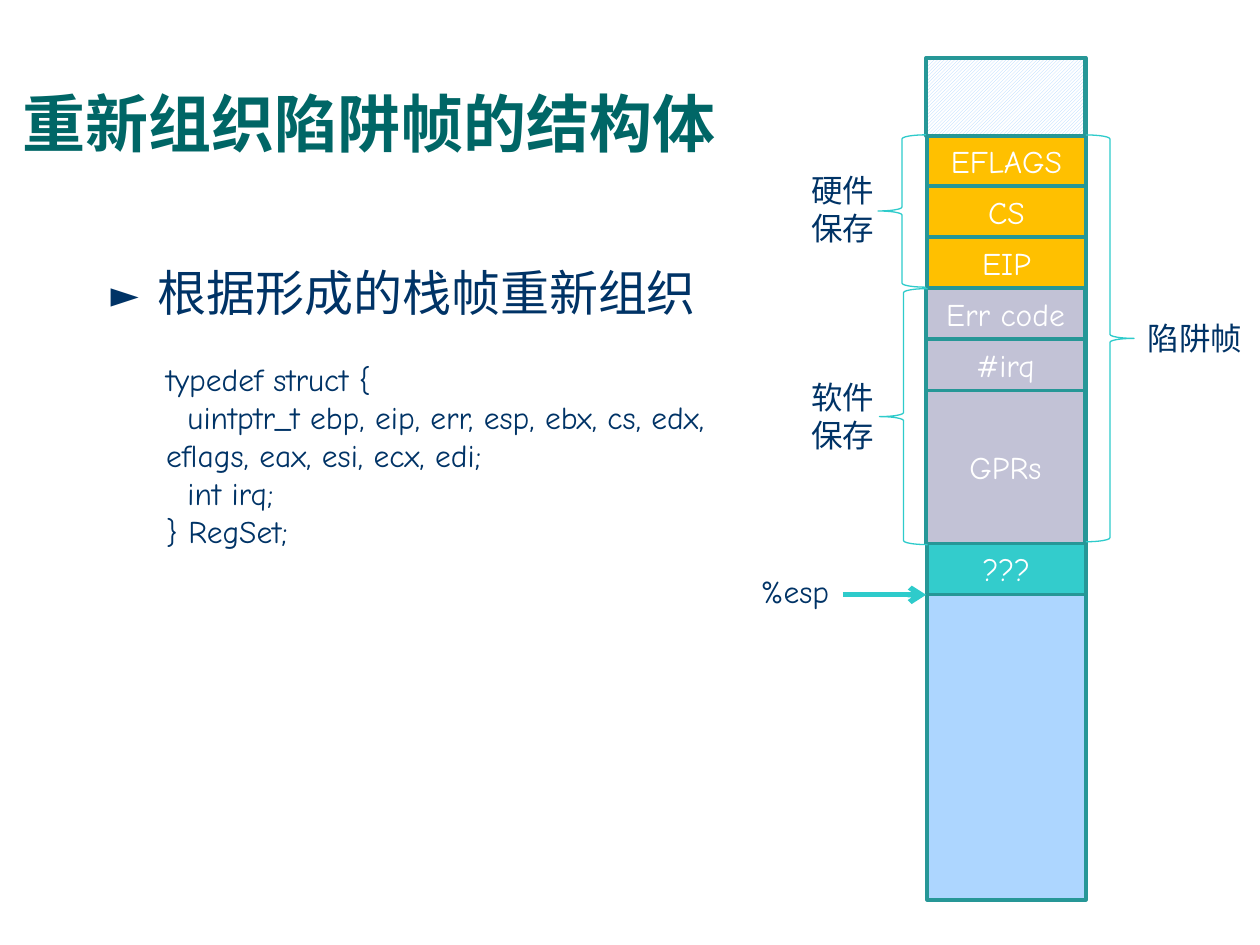
import pptx
import pptx.util
import pptx.dml.color
import pptx.enum.dml
import pptx.enum.shapes
import pptx.enum.text
import pptx.oxml
import pptx.oxml.ns
import lxml.etree

Cm, Pt = pptx.util.Cm, pptx.util.Pt
Shape = pptx.enum.shapes.MSO_SHAPE
Align = pptx.enum.text.PP_ALIGN
Anchor = pptx.enum.text.MSO_ANCHOR
qn = pptx.oxml.ns.qn

NAVY, TEAL, BORDER, CYAN, SKY = "003366", "006666", "269797", "2ECBCB", "ADD6FF"
CJK, HAND = "Noto Sans CJK SC", "Comic Neue"


def color(value):
    return pptx.dml.color.RGBColor.from_string(value)


def write(box, text, size=18, font=HAND, ink=NAVY, bold=False,
          align=Align.LEFT, anchor=Anchor.TOP):
    frame = box.text_frame
    frame.word_wrap = True
    frame.vertical_anchor = anchor
    frame.text = text
    for para in frame.paragraphs:
        para.alignment = align
        for span in para.runs:
            span.font.size = Pt(size)
            span.font.name = font
            span.font.bold = bold
            span.font.color.rgb = color(ink)
            east_asian = lxml.etree.SubElement(span.font._element, qn("a:ea"))
            east_asian.set("typeface", font)
    return frame.paragraphs


deck = pptx.Presentation()
deck.slide_width, deck.slide_height = Cm(25.4), Cm(19.05)
page = deck.slides.add_slide(deck.slide_layouts[5])
shapes = page.shapes

# Title
title = shapes.title
title.left, title.top, title.width, title.height = Cm(0.2), Cm(0.2), Cm(22.02), Cm(3.18)
heading = write(title, "重新组织陷阱帧的结构体", size=36, font=CJK, ink=TEAL, bold=True,
                anchor=Anchor.BOTTOM)[0]
heading.line_spacing = 0.9
title.text_frame.auto_size = pptx.enum.text.MSO_AUTO_SIZE.NONE

# Bullet
body = shapes.add_textbox(Cm(1.98), Cm(5.16), Cm(22.91), Cm(13.36))
point = write(body, "根据形成的栈帧重新组织", size=28, font=CJK)[0]
layout = point._p.get_or_add_pPr()
layout.set("marL", str(Cm(0.95)))
layout.set("indent", str(Cm(-0.95)))
bullet_color = lxml.etree.SubElement(layout, qn("a:buClr"))
lxml.etree.SubElement(bullet_color, qn("a:srgbClr")).set("val", NAVY)
for tag, key, value in [("a:buSzPct", "val", "75000"), ("a:buFont", "typeface", CJK),
                        ("a:buChar", "char", "►")]:
    lxml.etree.SubElement(layout, qn(tag)).set(key, value)

# Memory stack: text, fill, left, top, height
row, first = 1.03, 2.72
stack = [("", SKY, 18.69, 1.17, 16.97)]
level = 0
for name, fill, left, rows in [
    ("EFLAGS", "FFC000", 18.69, 1), ("CS", "FFC000", 18.69, 1), ("EIP", "FFC000", 18.69, 1),
    ("Err code", "C2C2D6", 18.67, 1), ("#irq", "C2C2D6", 18.67, 1),
    ("GPRs", "C2C2D6", 18.67, 3), ("???", "33CCCC", 18.69, 1),
]:
    stack.append((name, fill, left, first + level * row, rows * row))
    level += rows
stack.append(("", None, 18.67, 1.17, 1.57))

for name, fill, left, top, height in stack:
    cell = shapes.add_shape(Shape.RECTANGLE, Cm(left), Cm(top), Cm(3.2), Cm(height))
    cell.shadow.inherit = False
    cell.line.color.rgb = color(BORDER)
    cell.line.width = Pt(2)
    if fill:
        cell.fill.solid()
        cell.fill.fore_color.rgb = color(fill)
    else:
        cell.fill.patterned()
        cell.fill.pattern = pptx.enum.dml.MSO_PATTERN.LIGHT_UPWARD_DIAGONAL
        cell.fill.fore_color.rgb = color(SKY)
        cell.fill.back_color.rgb = color("FFFFFF")
    if name:
        write(cell, name, ink="FFFFFF", align=Align.CENTER, anchor=Anchor.MIDDLE)

# Braces: left, top, height, rotation
for left, top, height, turn in [(17.7, 2.72, 3.07, 0), (17.73, 5.82, 5.16, 0),
                                (21.89, 2.72, 8.2, 180)]:
    brace = shapes.add_shape(Shape.LEFT_BRACE, Cm(left), Cm(top), Cm(0.97), Cm(height))
    brace.shadow.inherit = False
    brace.fill.background()
    brace.line.color.rgb = color(CYAN)
    brace.line.width = Pt(0.75)
    brace.rotation = turn

# Labels
for text, left, top, width, height in [
    ("硬件保存", 16.1, 3.33, 2.39, 1.8), ("软件保存", 16.1, 7.49, 2.39, 1.8),
    ("%esp", 15.09, 11.4, 2.39, 1.02), ("陷阱帧", 22.89, 6.3, 3.23, 1.02),
]:
    write(shapes.add_textbox(Cm(left), Cm(top), Cm(width), Cm(height)), text)

# Stack pointer arrow
arrow = shapes.add_connector(pptx.enum.shapes.MSO_CONNECTOR.STRAIGHT,
                             Cm(16.99), Cm(11.99), Cm(18.67), Cm(11.99))
arrow.line.color.rgb = color(CYAN)
arrow.line.width = Pt(3)
lxml.etree.SubElement(arrow.line._get_or_add_ln(), qn("a:tailEnd")).set("type", "arrow")
lxml.etree.SubElement(arrow._element.spPr, qn("a:effectLst"))

# Code, with its members indented
code = shapes.add_textbox(Cm(3.1), Cm(7.14), Cm(11.4), Cm(4.11))
lines = write(code, "typedef struct {\n"
                    "uintptr_t ebp, eip, err, esp, ebx, cs, edx, eflags, eax, esi, ecx, edi;\n"
                    "int irq;\n"
                    "} RegSet;")
for member in lines[1:3]:
    member._p.get_or_add_pPr().set("indent", str(Cm(0.43)))

deck.save("out.pptx")
